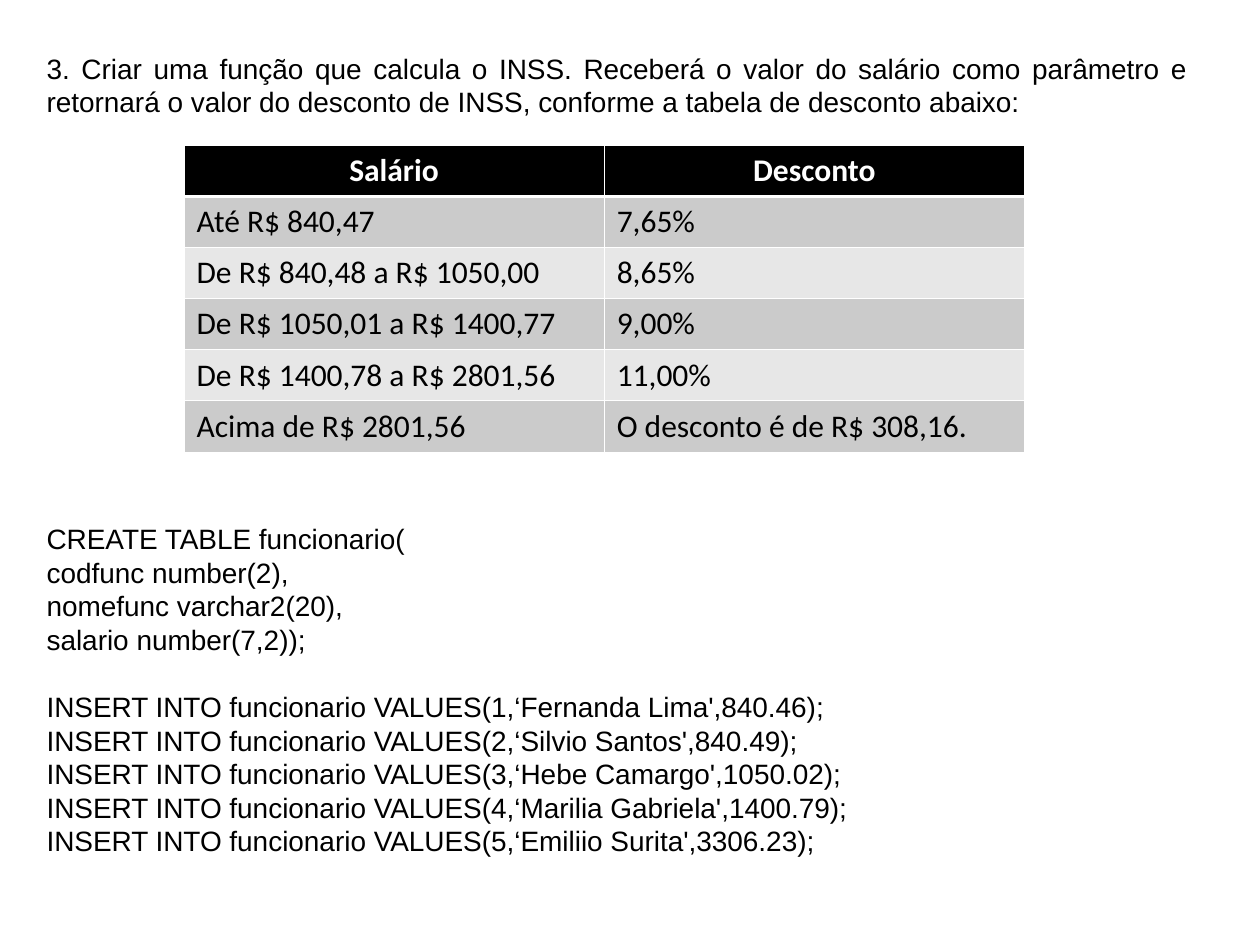
from lxml.etree import SubElement
from pptx import Presentation
from pptx.dml.color import RGBColor
from pptx.enum.text import MSO_AUTO_SIZE, PP_ALIGN
from pptx.oxml.ns import qn
from pptx.util import Cm, Pt

TASK = ("3. Criar uma função que calcula o INSS. Receberá o valor do salário "
        "como parâmetro e retornará o valor do desconto de INSS, conforme a "
        "tabela de desconto abaixo:")
TABLE = ["CREATE TABLE funcionario(", "codfunc number(2),",
         "nomefunc varchar2(20),", "salario number(7,2));"]
STAFF = ["1,‘Fernanda Lima',840.46", "2,‘Silvio Santos',840.49",
         "3,‘Hebe Camargo',1050.02", "4,‘Marilia Gabriela',1400.79",
         "5,‘Emiliio Surita',3306.23"]
RATES = [("Salário", "Desconto"),
         ("Até R$ 840,47", "7,65%"),
         ("De R$ 840,48 a R$ 1050,00", "8,65%"),
         ("De R$ 1050,01 a R$ 1400,77", "9,00%"),
         ("De R$ 1400,78 a R$ 2801,56", "11,00%"),
         ("Acima de R$ 2801,56", "O desconto é de R$ 308,16.")]
LINE = 19.2


def color(code):
    """Turn a hex string into a colour."""
    return RGBColor.from_string(code)


def add_run(para, text, font, size, code="000000", bold=False):
    """Add one formatted run to a paragraph."""
    run = para.add_run()
    run.text = text
    run.font.name = font
    run.font.size = Pt(size)
    run.font.bold = bold
    run.font.color.rgb = color(code)


def add_text(slide, groups):
    """Add the text box, with groups of lines set apart by blank space."""
    box = slide.shapes.add_textbox(Cm(0.69), Cm(0.91), Cm(23.5), Cm(16.51))
    frame = box.text_frame
    frame.word_wrap = True
    frame.auto_size = MSO_AUTO_SIZE.SHAPE_TO_FIT_TEXT
    para = frame.paragraphs[0]
    for gap, lines in groups:
        for spot, line in enumerate(lines):
            if para is None:
                para = frame.add_paragraph()
            para.alignment = PP_ALIGN.JUSTIFY
            para.line_spacing = Pt(LINE)
            para.space_before = Pt(0 if spot else gap * LINE)
            add_run(para, line, "Arial", 16)
            para = None


def add_edge(cell, side, width):
    """Draw one white border of a cell."""
    edge = SubElement(cell._tc.get_or_add_tcPr(), qn(f"a:{side}"),
                      w=str(Pt(width)))
    fill = SubElement(edge, qn("a:solidFill"))
    SubElement(fill, qn("a:srgbClr"), val="FFFFFF")


def fill_cell(cell, text, row):
    """Fill, border and label a cell by its row."""
    head = row == 0
    thick = {"lnB": 0, "lnT": 1}
    for side in ("lnL", "lnR", "lnT", "lnB"):
        add_edge(cell, side, 1.47 if thick.get(side) == row else 0.45)
    cell.fill.solid()
    shade = "000000" if head else ("E7E7E7", "CBCBCB")[row % 2]
    cell.fill.fore_color.rgb = color(shade)
    para = cell.text_frame.paragraphs[0]
    para.alignment = PP_ALIGN.CENTER if head else PP_ALIGN.LEFT
    add_run(para, text, "Calibri", 18, "FFFFFF" if head else "000000", head)


def add_rates(slide, rows):
    """Add the table of discounts."""
    grid = slide.shapes.add_table(len(rows), 2, Cm(3.71), Cm(2.93),
                                  Cm(16.94), Cm(6.18)).table
    for row, texts in enumerate(rows):
        for col, text in enumerate(texts):
            fill_cell(grid.cell(row, col), text, row)


def main():
    """Build and save the slide."""
    deck = Presentation()
    deck.slide_width, deck.slide_height = Cm(25.4), Cm(19.05)
    slide = deck.slides.add_slide(deck.slide_layouts[6])
    adds = [f"INSERT INTO funcionario VALUES({item});" for item in STAFF]
    add_text(slide, [(0, [TASK]), (12, TABLE), (1, adds)])
    add_rates(slide, RATES)
    deck.save("out.pptx")


if __name__ == "__main__":
    main()
